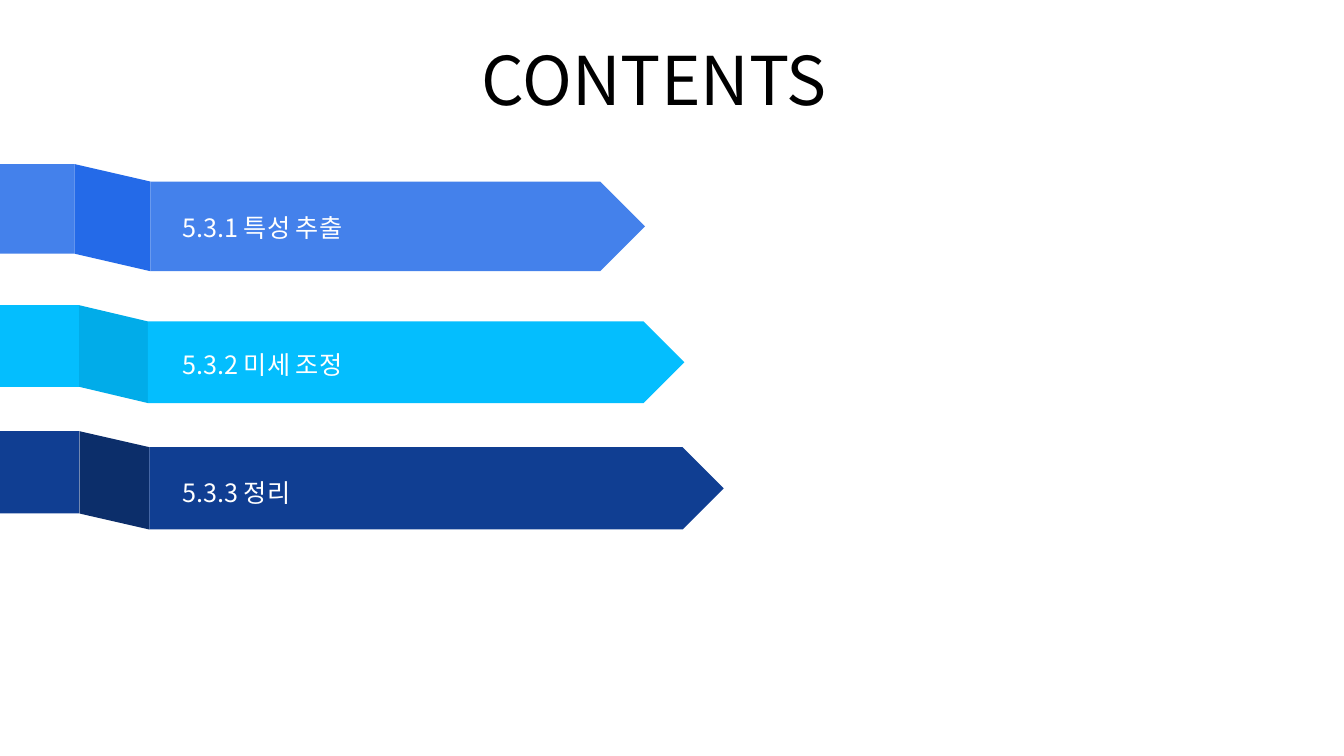
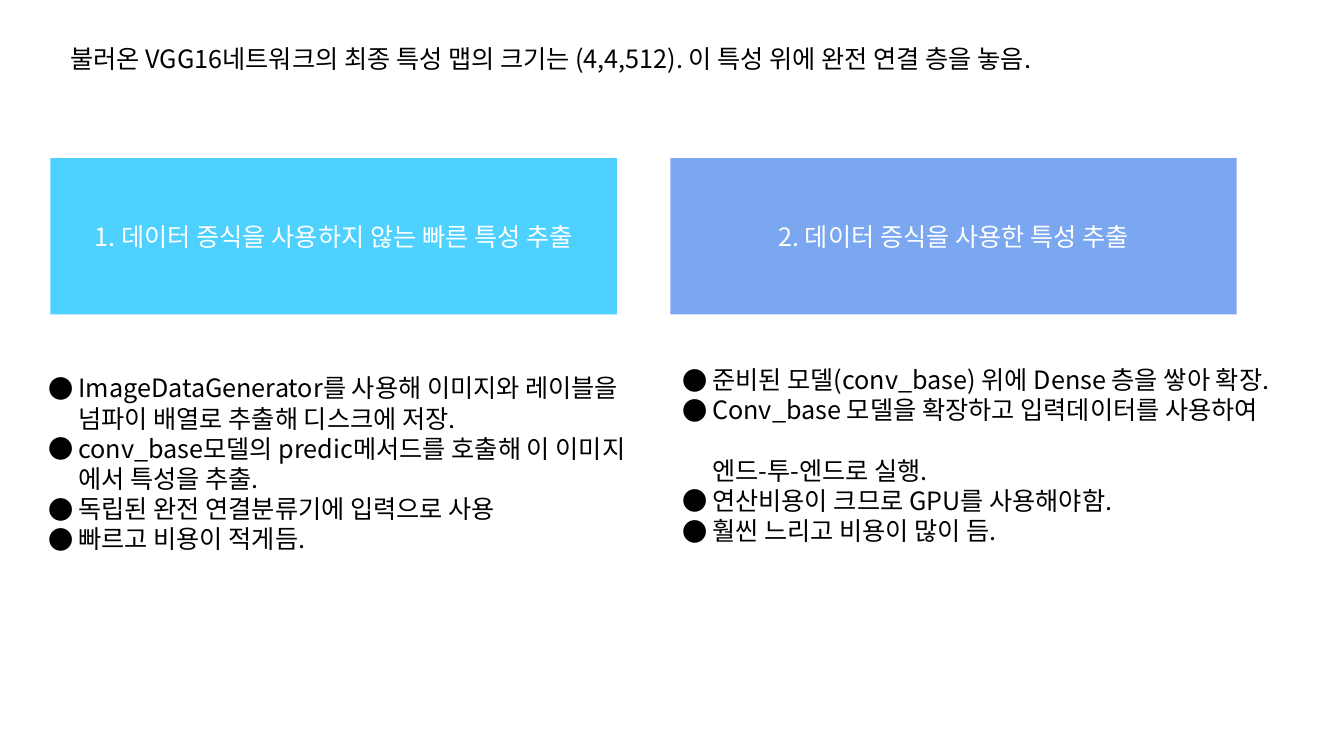
"""Build a contents slide and a two-method comparison slide."""
from dataclasses import dataclass
from typing import Sequence

from lxml import etree
from pptx import Presentation, util as u
from pptx.dml.color import RGBColor
from pptx.enum import shapes, text
from pptx.oxml.ns import qn

Pt = u.Pt
Kind = shapes.MSO_SHAPE
Align = text.PP_ALIGN


@dataclass(frozen=True)
class Theme:
    font: str = "Noto Sans CJK KR"
    ink: str = "000000"
    white: str = "FFFFFF"
    blue: str = "4481EB"
    cobalt: str = "246AE8"
    cyan: str = "04BEFE"
    teal: str = "01ACE9"
    navy: str = "103E92"
    night: str = "0C2E6A"
    title: int = 48
    body: int = 18
    lead: float = 21.5
    tall: float = 61
    hang: float = 21.5


@dataclass(frozen=True)
class Box:
    x: float
    y: float
    w: float
    h: float


@dataclass(frozen=True)
class Line:
    text: str
    mark: bool = False
    hang: bool = False
    gap: float = 0


@dataclass(frozen=True)
class Ribbon:
    label: str
    base: str
    dark: str
    top: float
    high: float
    drop: float
    bend: float
    edge: float
    tip: float
    text_y: float


@dataclass(frozen=True)
class Method:
    head: str
    hue: str
    x: float
    list_x: float
    list_y: float
    lines: Sequence[Line]


T = Theme()

RIBBONS = (
    Ribbon("5.3.1 특성 추출", T.blue, T.cobalt, 117.2, 64, 12.5, 53.3, 107.5, 460.8, 148.3),
    Ribbon("5.3.2 미세 조정", T.cyan, T.teal, 218, 58.3, 11.6, 56.5, 105.6, 488.9, 246.2),
    Ribbon("5.3.3 정리", T.navy, T.night, 308, 58.8, 11.4, 56.8, 106.7, 517, 337.7),
)

METHODS = (
    Method("1. 데이터 증식을 사용하지 않는 빠른 특성 추출", T.cyan, 36, 27.4, 262.8, (
        Line("ImageDataGenerator를 사용해 이미지와 레이블을", True, True),
        Line("넘파이 배열로 추출해 디스크에 저장.", hang=True),
        Line("conv_base모델의 predic메서드를 호출해 이 이미지", True, True),
        Line("에서 특성을 추출.", hang=True),
        Line("독립된 완전 연결분류기에 입력으로 사용", True, True),
        Line("빠르고 비용이 적게듬.", True, True),
    )),
    Method("2. 데이터 증식을 사용한 특성 추출", T.blue, 478.8, 480.2, 257, (
        Line("준비된 모델(conv_base) 위에 Dense 층을 쌓아 확장.", True, True),
        Line("Conv_base 모델을 확장하고 입력데이터를 사용하여", True, True, T.lead),
        Line("엔드-투-엔드로 실행.", hang=True),
        Line("연산비용이 크므로 GPU를 사용해야함.", True, True),
        Line("훨씬 느리고 비용이 많이 듬.", True, True),
    )),
)


def rgb(hue: str) -> RGBColor:
    return RGBColor.from_string(hue)


def place(box: Box) -> tuple:
    return Pt(box.x), Pt(box.y), Pt(box.w), Pt(box.h)


def write(frame, lines: Sequence[Line], hue: str = T.ink, size: float = T.body,
          lead: float = T.lead, align=Align.LEFT) -> None:
    frame.word_wrap = True
    for i, line in enumerate(lines):
        para = frame.add_paragraph() if i else frame.paragraphs[0]
        para.alignment = align
        para.line_spacing = Pt(lead)
        para.space_after = Pt(line.gap)
        props = para._p.get_or_add_pPr()
        if line.hang:
            props.set("marL", str(Pt(T.hang)))
        if line.mark:
            props.set("indent", str(-Pt(T.hang)))
            etree.SubElement(props, qn("a:buFont"), typeface=T.font)
            etree.SubElement(props, qn("a:buChar"), char="●")
        run = para.add_run()
        run.text = line.text
        run.font.size = Pt(size)
        run.font.color.rgb = rgb(hue)
        run.font.name = T.font
        etree.SubElement(run._r.get_or_add_rPr(), qn("a:ea"), typeface=T.font)


def note(slide, box: Box, lines: Sequence[Line], **style) -> None:
    write(slide.shapes.add_textbox(*place(box)).text_frame, lines, **style)


def block(slide, kind, box: Box, hue: str, alpha: int = 100):
    shape = slide.shapes.add_shape(kind, *place(box))
    shape.shadow.inherit = False
    shape.fill.solid()
    shape.fill.fore_color.rgb = rgb(hue)
    shape.line.fill.background()
    if alpha < 100:
        tint = shape.element.spPr.find(".//" + qn("a:srgbClr"))
        etree.SubElement(tint, qn("a:alpha"), val=str(alpha * 1000))
    return shape


def ribbon(slide, r: Ribbon) -> None:
    wide, high = r.edge - r.bend, r.high + r.drop
    mid_x, mid_y = r.bend + wide / 2, r.top + high / 2
    block(slide, Kind.RECTANGLE, Box(0, r.top, r.bend, r.high), r.base)
    fold = block(slide, Kind.PARALLELOGRAM,
                 Box(mid_x - high / 2, mid_y - wide / 2, high, wide), r.dark)
    fold.rotation = 90
    fold.adjustments[0] = r.drop / wide
    block(slide, Kind.PENTAGON,
          Box(r.edge, r.top + r.drop, r.tip - r.edge, r.high), r.base)
    note(slide, Box(123.1, r.text_y, 230, 25.2), [Line(r.label)], hue=T.white)


def method(slide, m: Method) -> None:
    card = block(slide, Kind.RECTANGLE, Box(m.x, 113, 404.6, 111.6), m.hue, 70)
    card.text_frame.vertical_anchor = text.MSO_ANCHOR.MIDDLE
    write(card.text_frame, [Line(m.head)], hue=T.white, align=Align.CENTER)
    note(slide, Box(m.list_x, m.list_y, 468.7, 138.2), m.lines)


def main() -> None:
    deck = Presentation()
    deck.slide_width, deck.slide_height = Pt(960), Pt(540)
    blank = deck.slide_layouts[6]

    first = deck.slides.add_slide(blank)
    note(first, Box(158.4, 20.2, 617.8, 65.5), [Line("CONTENTS")],
         size=T.title, lead=T.tall, align=Align.CENTER)
    for r in RIBBONS:
        ribbon(first, r)

    second = deck.slides.add_slide(blank)
    note(second, Box(43.2, 27.4, 861.8, 28.8), [Line(
        "불러온 VGG16네트워크의 최종 특성 맵의 크기는 (4,4,512). "
        "이 특성 위에 완전 연결 층을 놓음.")])
    for m in METHODS:
        method(second, m)

    deck.save("out.pptx")


if __name__ == "__main__":
    main()
